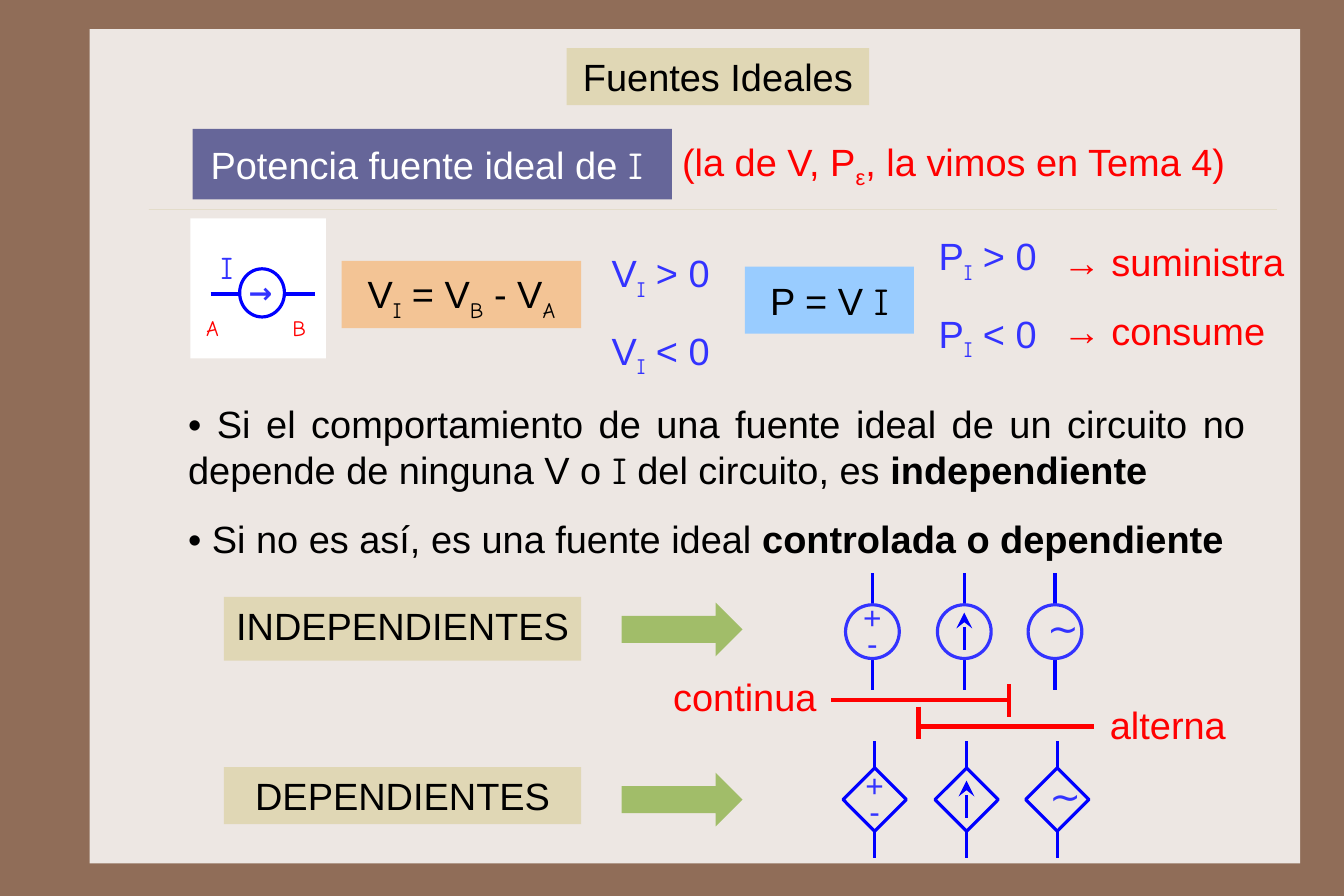
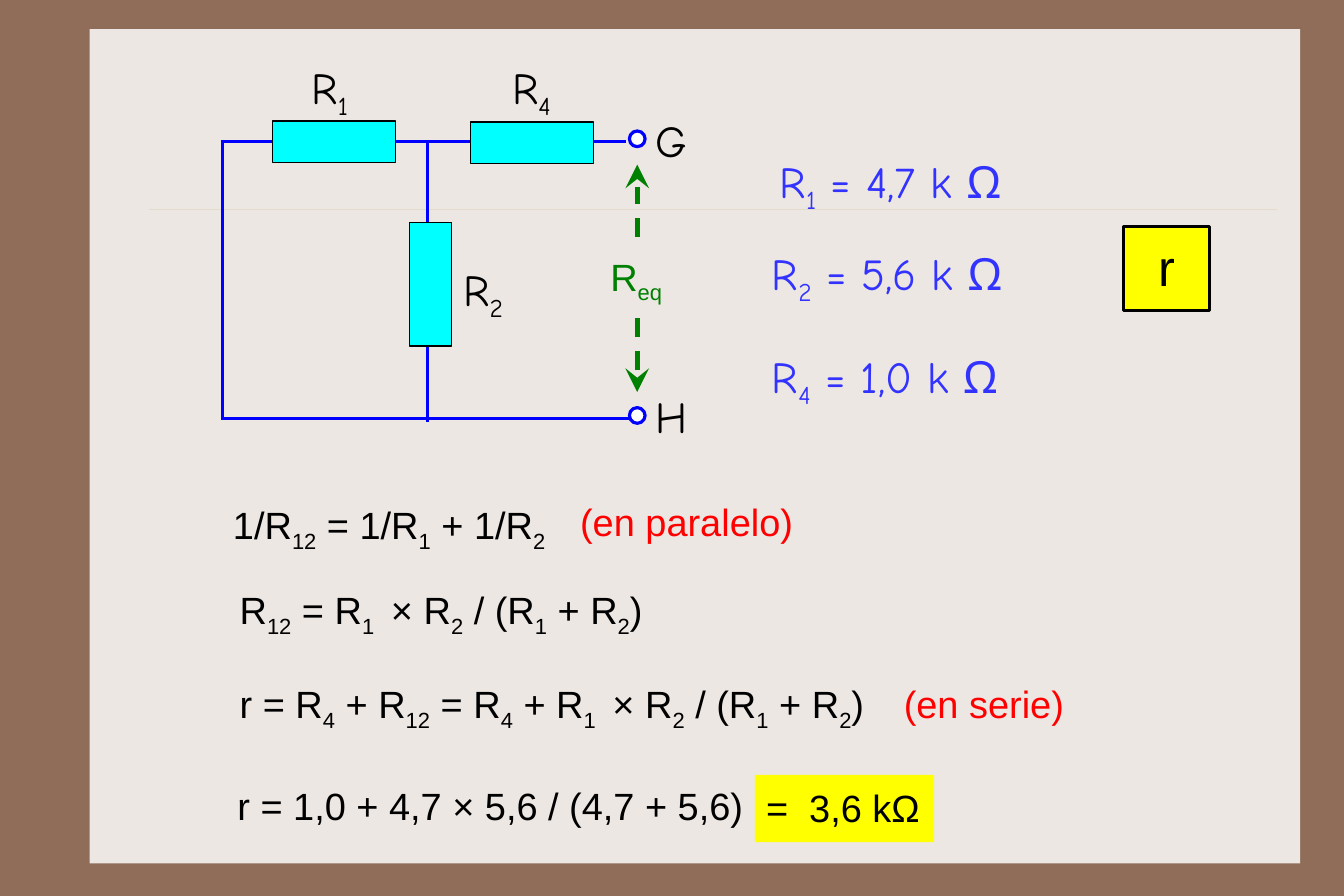
from lxml import etree
from pptx import Presentation
from pptx.dml.color import RGBColor
from pptx.enum.dml import MSO_LINE
from pptx.enum.shapes import MSO_CONNECTOR, MSO_SHAPE
from pptx.enum.text import MSO_ANCHOR, MSO_AUTO_SIZE, PP_ALIGN
from pptx.oxml.ns import qn
from pptx.util import Pt

BROWN = RGBColor(0x90, 0x6D, 0x58)
PANEL = RGBColor(0xED, 0xE7, 0xE3)
RULE = RGBColor(0xCB, 0xBD, 0x83)
SAND = RGBColor(0xE0, 0xD7, 0xB5)
PURPLE = RGBColor(0x66, 0x66, 0x99)
PEACH = RGBColor(0xF3, 0xC4, 0x95)
SKY = RGBColor(0x99, 0xCC, 0xFF)
LEAF = RGBColor(0xA1, 0xBD, 0x69)
CYAN = RGBColor(0x00, 0xFF, 0xFF)
YELLOW = RGBColor(0xFF, 0xFF, 0x00)
GREEN = RGBColor(0x00, 0x80, 0x00)
RED = RGBColor(0xFF, 0x00, 0x00)
BLUE = RGBColor(0x00, 0x00, 0xFF)
SOFT_BLUE = RGBColor(0x33, 0x33, 0xFF)
BLACK = RGBColor(0x00, 0x00, 0x00)
WHITE = RGBColor(0xFF, 0xFF, 0xFF)
ARIAL, COMIC = "Arial", "Comic Neue"
RECT, OVAL = MSO_SHAPE.RECTANGLE, MSO_SHAPE.OVAL
CENTER, JUSTIFY = PP_ALIGN.CENTER, PP_ALIGN.JUSTIFY
TOP, MIDDLE = MSO_ANCHOR.TOP, MSO_ANCHOR.MIDDLE

deck = Presentation()
deck.slide_width, deck.slide_height = Pt(850.5), Pt(567)
COL, ROW = deck.slide_width / 120, deck.slide_height / 80


def place(shapes, spot, text="", kind=None, fill=None, edge=None, edge_width=2,
          size=24, font=ARIAL, color=BLACK, align=PP_ALIGN.LEFT, anchor=TOP,
          margin=(1, 0.9), leading=None, gap=0, wrap=True):
    """Put a box at spot (column, row, columns, rows).

    kind is a preset shape, "title", or None for a text box. In text, "|" parts
    the spans; a span may start with "_" (subscript), "~" (Comic), "*" (bold).
    """
    left, top, width, height = spot
    frame = [int(left * COL), int(top * ROW), int(width * COL), int(height * ROW)]
    if kind == "title":
        box = shapes.title
        box.left, box.top, box.width, box.height = frame
    elif kind is None:
        box = shapes.add_textbox(*frame)
    else:
        box = shapes.add_shape(kind, *frame)
    box.shadow.inherit = False
    if fill is None:
        box.fill.background()
    else:
        box.fill.solid()
        box.fill.fore_color.rgb = fill
    if edge is None:
        box.line.fill.background()
    else:
        box.line.color.rgb = edge
        box.line.width = Pt(edge_width)
    if not text:
        return box
    body = box.text_frame
    body.auto_size = MSO_AUTO_SIZE.NONE
    body.word_wrap = wrap
    body.vertical_anchor = anchor
    body.margin_left = body.margin_right = int(margin[0] * COL)
    body.margin_top = body.margin_bottom = int(margin[1] * ROW)
    for index, row in enumerate(text.split("\n")):
        para = body.add_paragraph() if index else body.paragraphs[0]
        para.alignment = align
        para.font.name, para.font.size = font, Pt(size)
        para.font.color.rgb = color
        if leading:
            para.line_spacing = leading
        if index and gap:
            para.space_before = Pt(gap)
        for piece in row.split("|"):
            words = piece.lstrip("_~*")
            marks = piece[:len(piece) - len(words)]
            span = para.add_run()
            span.text = words
            if "*" in marks:
                span.font.bold = True
            if "~" in marks:
                span.font.name = COMIC
            if "_" in marks:
                span.font._element.set("baseline", "-25000")
    return box


def draw_line(shapes, start, end, color=BLUE, width=2, arrows=(), dash=None):
    """Join two (column, row) points; arrows may hold headEnd and tailEnd."""
    wire = shapes.add_connector(
        MSO_CONNECTOR.STRAIGHT, int(start[0] * COL), int(start[1] * ROW),
        int(end[0] * COL), int(end[1] * ROW))
    wire.line.color.rgb = color
    wire.line.width = Pt(width)
    if dash:
        wire.line.dash_style = dash
    properties = wire._element.spPr
    for arrow in arrows:
        etree.SubElement(properties.find(qn("a:ln")), qn("a:" + arrow),
                         type="stealth", w="lg", len="lg")
    etree.SubElement(properties, qn("a:effectLst"))
    return wire


sources_page = deck.slides.add_slide(deck.slide_layouts[5])
circuit_page = deck.slides.add_slide(deck.slide_layouts[6])

# Shared background, panel and rule live on the master
master = deck.slide_master
master.background.fill.solid()
master.background.fill.fore_color.rgb = BROWN
panel = place(sources_page.shapes, (8, 2.6, 108.1, 74.5), kind=RECT, fill=PANEL)
rule = draw_line(sources_page.shapes, (13.3, 18.7), (114, 18.7), RULE, 0.25)
rule_color = rule._element.xpath(".//a:ln//a:srgbClr")[0]
etree.SubElement(rule_color, qn("a:alpha"), val="40000")
for offset, part in enumerate((panel, rule)):
    part._element.xpath(".//p:cNvPr")[0].set("id", str(100 + offset))
    master.shapes._spTree.insert(2 + offset, part._element)

# Slide 1: ideal sources
shapes = sources_page.shapes
place(shapes, (50.6, 4.3, 27, 5.1), "Fuentes Ideales", "title", SAND,
      align=CENTER, margin=(1, 0.5))
place(shapes, (17.2, 11.5, 42.8, 6.3), "Potencia fuente ideal de |~I", RECT, PURPLE,
      color=WHITE, anchor=MIDDLE, margin=(1.6, 1))
place(shapes, (59.7, 11.4, 51.3, 6.5), "(la de V, P|_ε|, la vimos en Tema 4)",
      color=RED, align=JUSTIFY, anchor=MIDDLE, margin=(1.2, 1.2))

current_source = shapes.add_group_shape().shapes
place(current_source, (17, 19.5, 12.1, 12.5), kind=RECT, fill=WHITE)
place(current_source, (18.9, 21.7, 3, 4), "I", size=20, font=COMIC,
      color=SOFT_BLUE, margin=(0.8, 0.4), wrap=False)
draw_line(current_source, (18.8, 26.25), (21.4, 26.25))
draw_line(current_source, (25.4, 26.25), (28.1, 26.25))
place(current_source, (21.4, 24, 4, 4.3), kind=OVAL, edge=BLUE)
place(current_source, (21.4, 24.2, 4, 4), "*→", size=18, font=COMIC,
      color=SOFT_BLUE, margin=(0.8, 0.4), wrap=False)
for letter, left in (("A", 17.4), ("B", 25.1)):
    place(current_source, (left, 24.9, 4, 6), "_" + letter, font=COMIC, color=RED)

place(shapes, (30.5, 23.3, 21.4, 6), "V|_~I| = V|_~B| - V|_~A", RECT, PEACH, align=CENTER)
place(shapes, (53.6, 19.1, 12.1, 13.4), "V|_~I| > 0\nV|_~I| < 0",
      color=SOFT_BLUE, leading=1.5)
place(shapes, (66.5, 23.8, 15.1, 6), "P = V |~I", RECT, SKY, align=CENTER, anchor=MIDDLE)
place(shapes, (82.8, 18.7, 12.6, 13.4), "P|_~I| > 0\nP|_~I| < 0",
      color=SOFT_BLUE, anchor=MIDDLE, leading=1.5)
place(shapes, (93.9, 18.7, 22.8, 13.4), "→ suministra\n→ consume",
      color=RED, anchor=MIDDLE, leading=1.5)
place(shapes, (15.6, 34.6, 96.8, 16.6),
      "• Si el comportamiento de una fuente ideal de un circuito no depende de "
      "ninguna V o |~I| del circuito, es |*independiente\n"
      "• Si no es así, es una fuente ideal|* controlada o dependiente",
      align=JUSTIFY, margin=(1.2, 1.2), gap=15)

for label, top, height, middle, shift, outline, side, turn, edge in (
        ("INDEPENDIENTES", 53.3, 5.7, 56.4, 0, OVAL, 4.8, 0, SOFT_BLUE),
        ("DEPENDIENTES", 68.5, 5.1, 71.4, 0.2, RECT, 4, 45, BLUE)):
    place(shapes, (20, top, 31.9, height), label, RECT, SAND,
          align=CENTER, margin=(1, 0.5))
    place(shapes, (55.5, top + 0.5, 10.8, 4.8), kind=MSO_SHAPE.RIGHT_ARROW, fill=LEAF)
    symbols = shapes.add_group_shape().shapes
    direct, current, alternating = (x + shift for x in (77.9, 86.1, 94.2))
    for x in (direct, current, alternating):
        draw_line(symbols, (x, middle - 5.2), (x, middle + 5.2))
        body = place(symbols, (x - side / 2, middle - side / 2, side, side),
                     kind=outline, fill=PANEL, edge=edge)
        body.rotation = turn
    place(symbols, (direct - 1.8, middle - 1.6, 3.6, 4.9), "+\n-", size=20,
          color=SOFT_BLUE, align=CENTER, leading=0.2, gap=11.5, wrap=False)
    draw_line(symbols, (current, middle + 1.6), (current, middle - 1.7),
              arrows=["tailEnd"])
    place(symbols, (alternating - 1.7, middle - 2.9, 3.6, 4.5), "∼",
          color=SOFT_BLUE, margin=(1, 0.5), wrap=False)

for label, left, top, bar, bar_top, far, level in (
        ("continua", 59.1, 59.2, 90.1, 61.1, 74.2, 62.5),
        ("alterna", 98.1, 61.7, 82, 63.1, 97.7, 64.9)):
    span_mark = shapes.add_group_shape().shapes
    draw_line(span_mark, (bar, bar_top), (bar, bar_top + 2.9), RED, 3)
    draw_line(span_mark, (bar, level), (far, level), RED, 3)
    place(span_mark, (left, top, 17, 6), label, color=RED)

# Slide 2: equivalent resistance
shapes = circuit_page.shapes
for start, end in (((19.7, 37.4), (56.8, 37.4)), ((19.7, 12.6), (55.9, 12.6)),
                   ((38.2, 12.5), (38.2, 37.7)), ((19.9, 12.5), (19.9, 37.2))):
    draw_line(shapes, start, end)
for number, spot, label_left, label_top in (
        ("1", (24.3, 10.8, 11, 3.7), 24.2, 4.9),
        ("4", (42, 10.9, 11, 3.7), 42.2, 4.9),
        ("2", (36.6, 19.9, 3.7, 11), 37.9, 22.9)):
    place(shapes, spot, kind=RECT, fill=CYAN, edge=BLACK, edge_width=0.75)
    place(shapes, (label_left, label_top, 10.5, 6.5), "R|_" + number, size=28,
          font=COMIC, align=CENTER, margin=(0.9, 0.5))
for letter, top in (("G", 11.7), ("H", 36.4)):
    place(shapes, (56.2, top, 1.4, 1.4), kind=OVAL, fill=WHITE, edge=BLUE)
    place(shapes, (57.6, top - 2.1, 5.8, 5.4), letter, size=28, font=COMIC,
          margin=(0.9, 0.5))

equivalent = shapes.add_group_shape().shapes
draw_line(equivalent, (56.9, 35), (56.9, 14.7), GREEN, 3,
          ["headEnd", "tailEnd"], MSO_LINE.DASH)
place(equivalent, (53.5, 21.7, 7, 6), "R|_eq", RECT, PANEL, color=GREEN, wrap=False)

values = shapes.add_group_shape().shapes
for left, top, value in ((66, 13.3, "R|_1| = 4,7 k Ω"),
                         (65.7, 21.5, "R|_2| = 5,6 k Ω"),
                         (65.5, 30.7, "R|_4| = 1,0 k Ω")):
    place(values, (left, top, 27, 6.5), value, size=28, font=COMIC,
          color=SOFT_BLUE, align=CENTER, margin=(0.9, 0.5))
place(shapes, (100.3, 20.2, 7.7, 7.5), "r", RECT, YELLOW, BLACK, size=32, align=CENTER)

PRODUCT = "R|_1 | × R|_2| / (R|_1| + R|_2|)"
for left, top, width, formula in (
        (19.8, 43.9, 30.6, "1/R|_12| = 1/R|_1| + 1/R|_2"),
        (20.4, 51.5, 39.1, "R|_12| = " + PRODUCT),
        (20.4, 59.9, 59.1, "r = R|_4| + R|_12| = R|_4| + " + PRODUCT),
        (20.2, 69, 48.4, "r = 1,0 + 4,7 × 5,6 / (4,7 + 5,6)")):
    place(shapes, (left, top, width, 5.9), formula, wrap=False)
for left, top, width, note in ((50.8, 44, 21.3, "(en paralelo)"),
                               (79.7, 60.3, 16.6, "(en serie)")):
    place(shapes, (left, top, width, 5.1), note, color=RED, margin=(1, 0.5), wrap=False)
place(shapes, (67.4, 69.2, 16, 6), "=  3,6 kΩ", RECT, YELLOW, wrap=False)

deck.save("out.pptx")
